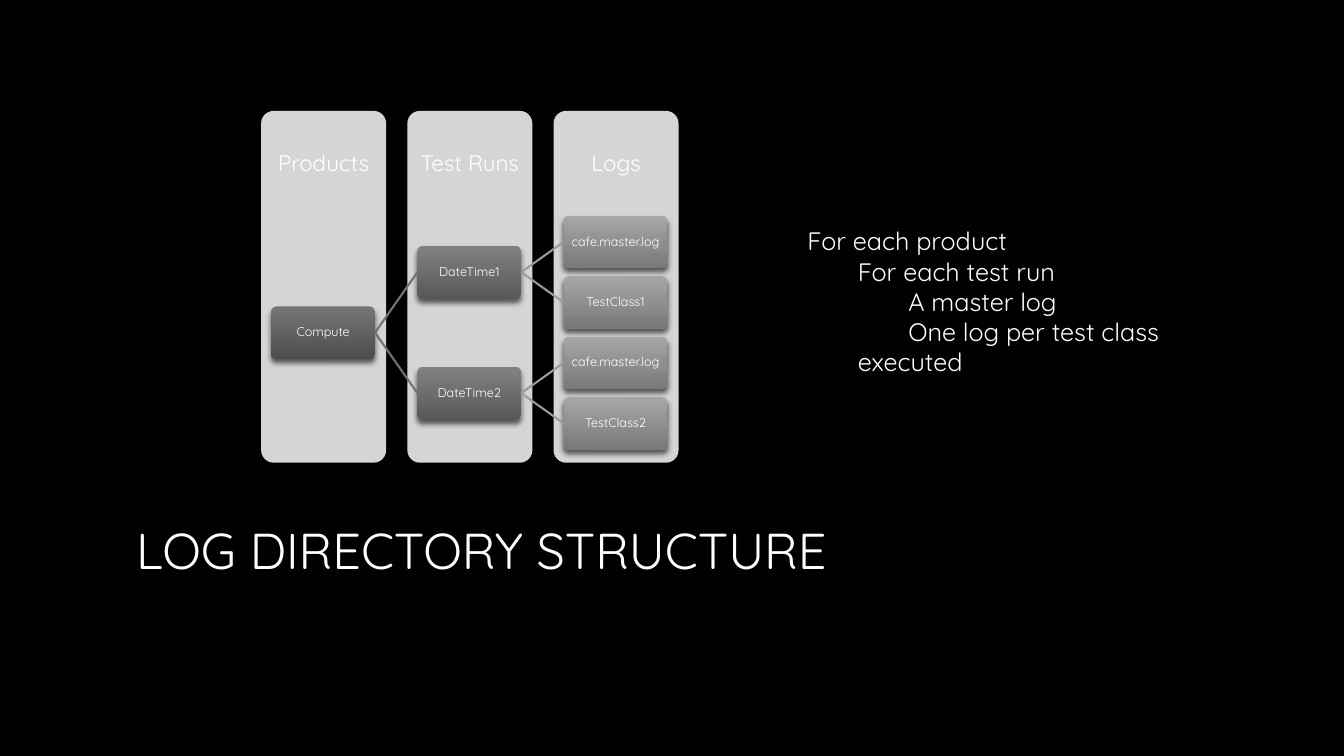
from dataclasses import dataclass

from lxml import etree
from pptx import Presentation
from pptx.dml.color import RGBColor
from pptx.enum.shapes import MSO_CONNECTOR, MSO_SHAPE
from pptx.enum.text import MSO_ANCHOR, MSO_AUTO_SIZE, PP_ALIGN
from pptx.oxml import parse_xml
from pptx.util import Inches, Pt

ROUNDED = MSO_SHAPE.ROUNDED_RECTANGLE
STRAIGHT = MSO_CONNECTOR.STRAIGHT
TOP, MIDDLE = MSO_ANCHOR.TOP, MSO_ANCHOR.MIDDLE
LEFT, CENTER = PP_ALIGN.LEFT, PP_ALIGN.CENTER
DRAWING_NS = "http://schemas.openxmlformats.org/drawingml/2006/main"
NODE_SHADOW = (
    f'<a:effectLst xmlns:a="{DRAWING_NS}">'
    '<a:outerShdw blurRad="50800" dist="38100" dir="5400000" rotWithShape="0">'
    '<a:srgbClr val="000000"><a:alpha val="60000"/></a:srgbClr>'
    '</a:outerShdw></a:effectLst>'
)


@dataclass(frozen=True)
class Theme:
    font: str = "Quicksand"
    background: str = "000000"
    text: str = "FFFFFF"
    title_fade: tuple = ("FFFFFF", "A6A6A6")
    column: str = "D5D5D5"
    node_fades: tuple = (("757575", "4E4E4E"), ("818181", "595959"), ("A7A7A7", "797979"))
    branches: tuple = (None, "727272", "9B9B9B")
    title_size: int = 36
    body_size: int = 18
    heading_size: int = 16
    node_size: int = 9


theme = Theme()


def add_text(paragraph, text, size, align=LEFT):
    paragraph.alignment = align
    run = paragraph.add_run()
    run.text = text
    run.font.name = theme.font
    run.font.size = Pt(size)
    run.font.color.rgb = RGBColor.from_string(theme.text)
    return run


def fade(fill, colors, angle):
    fill.gradient()
    fill.gradient_angle = angle
    for stop, color, position in zip(fill.gradient_stops, colors, (0, 1)):
        stop.color.rgb = RGBColor.from_string(color)
        stop.position = position


prs = Presentation()
prs.slide_width, prs.slide_height = Inches(13.33), Inches(7.5)
slide = prs.slides.add_slide(prs.slide_layouts[5])
slide.background.fill.solid()
slide.background.fill.fore_color.rgb = RGBColor.from_string(theme.background)

title = slide.shapes.title
title.left, title.top = Inches(1.25), Inches(5.1)
title.width, title.height = Inches(10.85), Inches(1.16)
title.text_frame.vertical_anchor = TOP
title_run = add_text(title.text_frame.paragraphs[0], "LOG DIRECTORY STRUCTURE", theme.title_size)
fade(title_run.font.fill, theme.title_fade, 267)

column_left, column_step, column_top, column_width = 2.59, 1.45, 1.1, 1.24
for index, heading in enumerate(("Products", "Test Runs", "Logs")):
    left = Inches(column_left + index * column_step)
    column = slide.shapes.add_shape(
        ROUNDED, left, Inches(column_top), Inches(column_width), Inches(3.49))
    column.adjustments[0] = 0.1
    column.shadow.inherit = False
    column.fill.solid()
    column.fill.fore_color.rgb = RGBColor.from_string(theme.column)
    column.line.fill.background()

    label = slide.shapes.add_textbox(left, Inches(column_top), Inches(column_width), Inches(1.05))
    frame = label.text_frame
    frame.word_wrap = True
    frame.vertical_anchor = MIDDLE
    frame.margin_left = frame.margin_right = frame.margin_top = frame.margin_bottom = Inches(0.12)
    frame.paragraphs[0].line_spacing = 0.9
    add_text(frame.paragraphs[0], heading, theme.heading_size, CENTER)

# level, row (in leaf steps), label, index of the parent
tree = (
    (0, 1.5, "Compute", None),
    (1, 0.5, "DateTime1", 0),
    (2, 0, "cafe.master.log", 1),
    (2, 1, "TestClass1", 1),
    (1, 2.5, "DateTime2", 0),
    (2, 2, "cafe.master.log", 4),
    (2, 3, "TestClass2", 4),
)
nodes = []
for level, row, name, parent in tree:
    node = slide.shapes.add_shape(
        ROUNDED,
        Inches(column_left + 0.1 + level * column_step), Inches(2.14 + row * 0.6),
        Inches(1.03), Inches(0.52))
    node.adjustments[0] = 0.1
    fade(node.fill, theme.node_fades[level], 270)
    node.line.fill.background()
    node.element.spPr.append(parse_xml(NODE_SHADOW))
    frame = node.text_frame
    frame.word_wrap = True
    frame.vertical_anchor = MIDDLE
    frame.margin_left = frame.margin_right = frame.margin_top = frame.margin_bottom = Inches(0.02)
    frame.paragraphs[0].line_spacing = 0.9
    add_text(frame.paragraphs[0], name, theme.node_size, CENTER)
    nodes.append(node)

    if parent is not None:
        branch = slide.shapes.add_connector(STRAIGHT, 0, 0, 0, 0)
        branch.begin_connect(nodes[parent], 3)
        branch.end_connect(node, 1)
        branch.line.color.rgb = RGBColor.from_string(theme.branches[level])
        branch.line.width = Pt(1.5)
        etree.SubElement(branch.element.spPr, f"{{{DRAWING_NS}}}effectLst")

outline = slide.shapes.add_textbox(Inches(7.91), Inches(2.19), Inches(3.85), Inches(1.62))
frame = outline.text_frame
frame.word_wrap = True
frame.auto_size = MSO_AUTO_SIZE.SHAPE_TO_FIT_TEXT
outline_lines = (
    ("For each product", 0, 0),
    ("For each test run", 0.5, 0),
    ("A master log", 0.5, 0.5),
    ("One log per test class executed", 0.5, 0.5),
)
for index, (text, margin, first_line) in enumerate(outline_lines):
    paragraph = frame.add_paragraph() if index else frame.paragraphs[0]
    add_text(paragraph, text, theme.body_size)
    properties = paragraph._p.get_or_add_pPr()
    properties.set("marL", str(Inches(margin)))
    properties.set("indent", str(Inches(first_line)))

prs.save("out.pptx")
